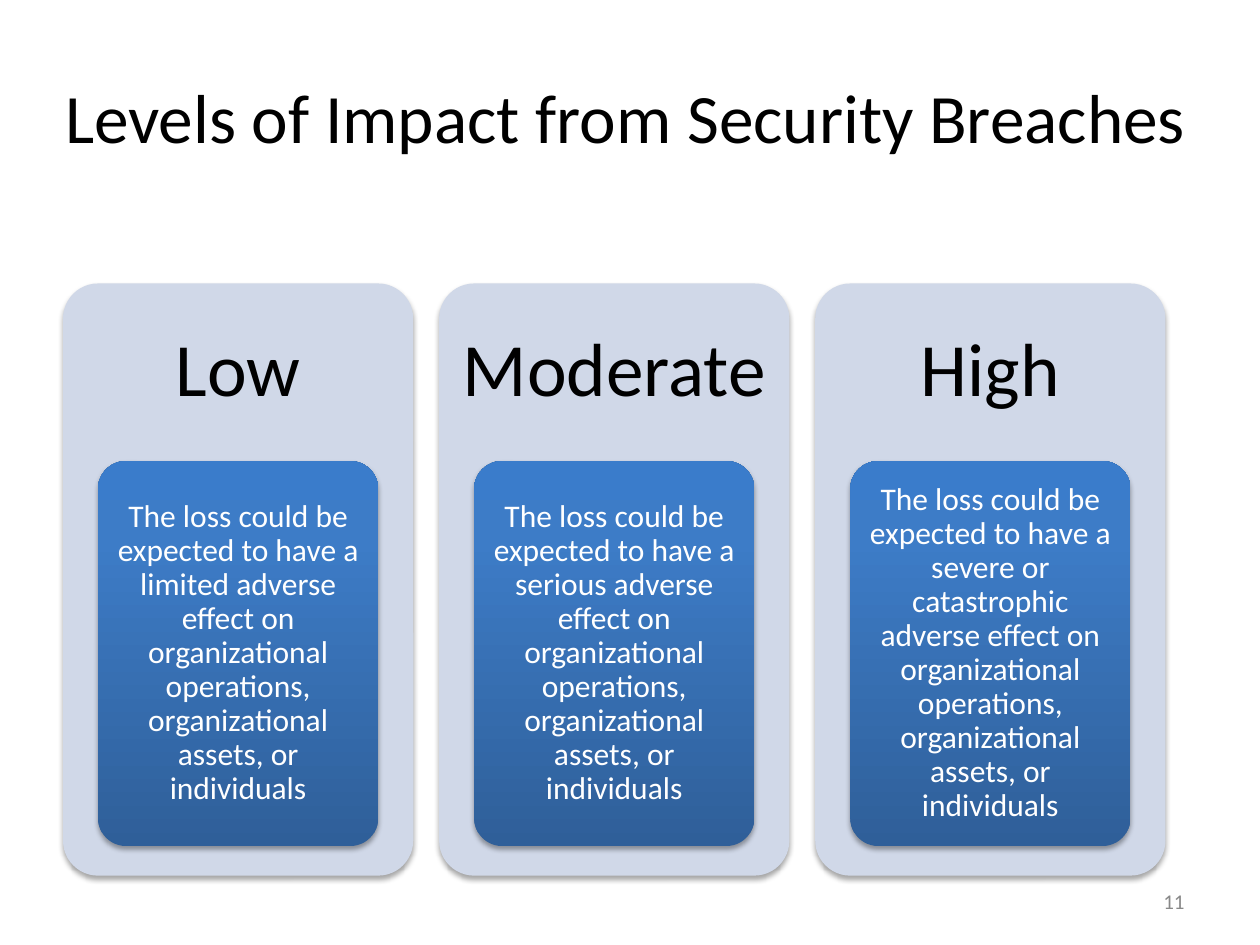
from copy import deepcopy

from lxml.etree import SubElement
from pptx import Presentation
from pptx.dml.color import RGBColor
from pptx.enum.shapes import MSO_SHAPE as Shape
from pptx.enum.text import MSO_ANCHOR as Anchor, PP_ALIGN as Align
from pptx.oxml.ns import qn
from pptx.util import Inches, Pt

# Content
TITLE = "Levels of Impact from Security Breaches"
PAGE_NUMBER = "11"
LOSS = ("The loss could be expected to have a {} adverse effect on organizational "
        "operations, organizational assets, or individuals")
LEVELS = [("Low", "limited"), ("Moderate", "serious"), ("High", "severe or catastrophic")]

# Look
COLORS = {"text": "000000", "light": "FFFFFF", "number": "898989",
          "panel": "D0D8E8", "shadow": "000000"}
CARD_STOPS = [(0, "2F5F99"), (0.8, "3D7CC7"), (1, "3A7CCB")]
FORMATS = {
    "title": dict(size=39.6, color="text", align=Align.CENTER, spacing=1, inset=(0.1, 0.05)),
    "level": dict(size=43, color="text", align=Align.CENTER, spacing=0.9, inset=(0.18, 0.18)),
    "loss": dict(size=18, color="light", align=Align.CENTER, spacing=0.9, inset=(0.05, 0.04)),
    "number": dict(size=12, color="number", align=Align.RIGHT, spacing=1, inset=(0.1, 0.05)),
}

# Grid, in inches
SLIDE_W, SLIDE_H = 10, 7.5
LEFT, TOP, PANEL_W, PANEL_H = 0.5, 2.25, 2.78, 4.7
PITCH = 2.985
HEAD_H = PANEL_H * 0.3
CARD_W, CARD_H = PANEL_W * 0.8, PANEL_H * 0.65
CARD_PAD = 0.065


def add_text(page, text, area, style):
    look = FORMATS[style]
    box = page.shapes.add_textbox(*map(Inches, area))
    frame = box.text_frame
    across, down = map(Inches, look["inset"])
    settings = dict(word_wrap=True, vertical_anchor=Anchor.MIDDLE, margin_left=across,
                    margin_right=across, margin_top=down, margin_bottom=down)
    for name, value in settings.items():
        setattr(frame, name, value)
    para = frame.paragraphs[0]
    para.alignment, para.line_spacing = look["align"], look["spacing"]
    span = para.add_run()
    span.text = text
    for name, value in dict(name="Calibri", size=Pt(look["size"])).items():
        setattr(span.font, name, value)
    span.font.color.rgb = RGBColor.from_string(COLORS[look["color"]])


def add_shadow(shape):
    shape.shadow.inherit = False
    effects = shape._element.spPr.find(qn("a:effectLst"))
    shadow = SubElement(effects, qn("a:outerShdw"), blurRad=str(Pt(3.1)), dist=str(Pt(1.8)),
                        dir="5400000", rotWithShape="0")
    color = SubElement(shadow, qn("a:srgbClr"), val=COLORS["shadow"])
    SubElement(color, qn("a:alpha"), val="35000")


def add_rounded(page, area):
    shape = page.shapes.add_shape(Shape.ROUNDED_RECTANGLE, *map(Inches, area))
    shape.adjustments[0] = 0.1
    shape.line.fill.background()
    add_shadow(shape)
    return shape


def fill_gradient(shape):
    shape.fill.gradient()
    shape.fill.gradient_angle = 90
    # The default gradient has two stops, so a third is added
    stop_list = shape._element.spPr.find(".//" + qn("a:gsLst"))
    stop_list.append(deepcopy(stop_list[0]))
    for stop, (position, color) in zip(shape.fill.gradient_stops, CARD_STOPS):
        stop.position = position
        stop.color.rgb = RGBColor.from_string(color)


def add_level(page, column, level, severity):
    left = LEFT + column * PITCH
    panel = add_rounded(page, (left, TOP, PANEL_W, PANEL_H))
    panel.fill.solid()
    panel.fill.fore_color.rgb = RGBColor.from_string(COLORS["panel"])
    add_text(page, level, (left, TOP, PANEL_W, HEAD_H), "level")

    card_left, card_top = left + (PANEL_W - CARD_W) / 2, TOP + HEAD_H
    fill_gradient(add_rounded(page, (card_left, card_top, CARD_W, CARD_H)))
    inner = (card_left + CARD_PAD, card_top + CARD_PAD,
             CARD_W - 2 * CARD_PAD, CARD_H - 2 * CARD_PAD)
    add_text(page, LOSS.format(severity), inner, "loss")


def main():
    deck = Presentation()
    deck.slide_width, deck.slide_height = Inches(SLIDE_W), Inches(SLIDE_H)
    page = deck.slides.add_slide(deck.slide_layouts[6])

    # Title
    add_text(page, TITLE, (0.2, 0.29, 9.53, 1.26), "title")
    # One column for each level
    for column, (level, severity) in enumerate(LEVELS):
        add_level(page, column, level, severity)
    # Page number
    add_text(page, PAGE_NUMBER, (7.17, 6.95, 2.33, 0.4), "number")

    deck.save("out.pptx")


if __name__ == "__main__":
    main()
